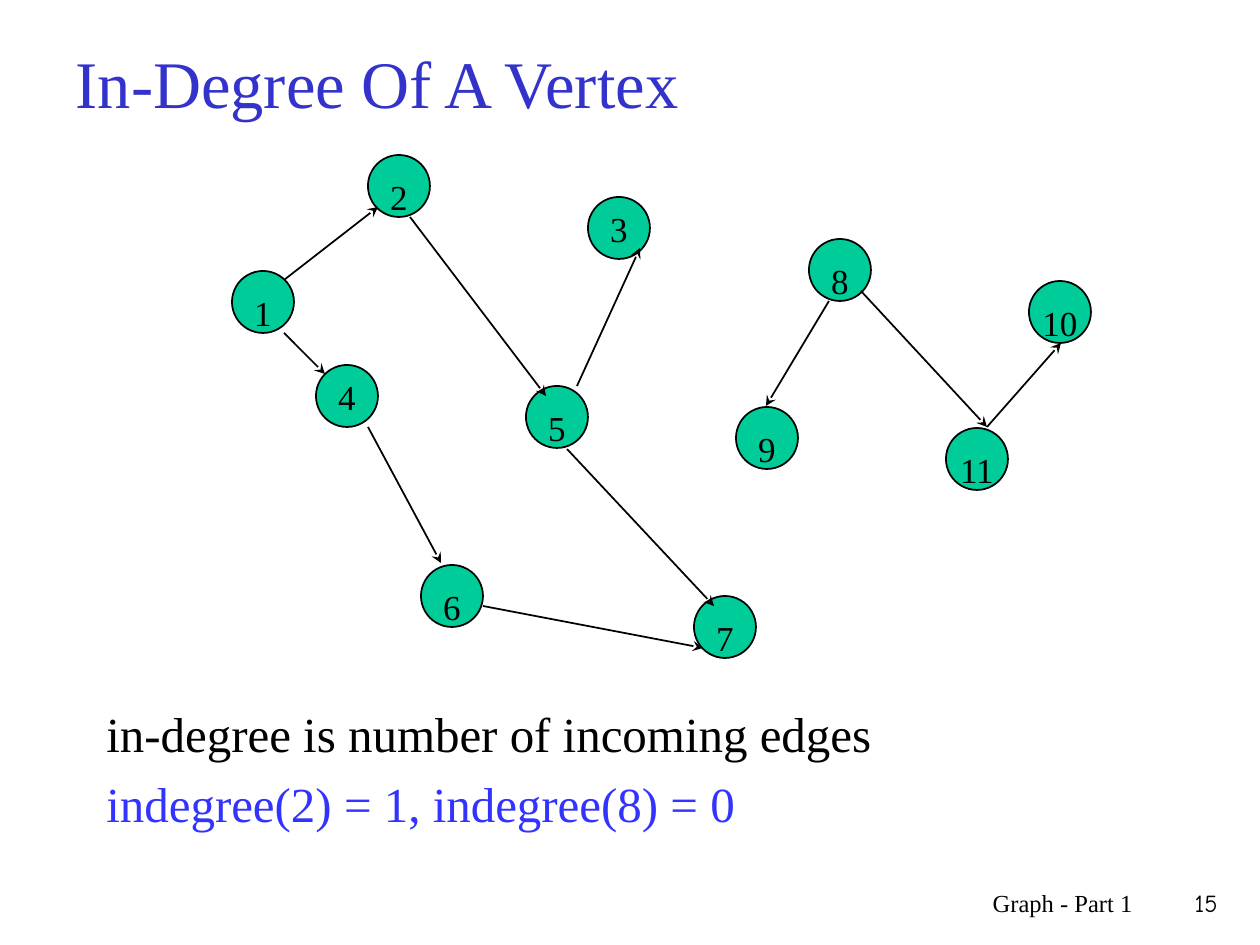
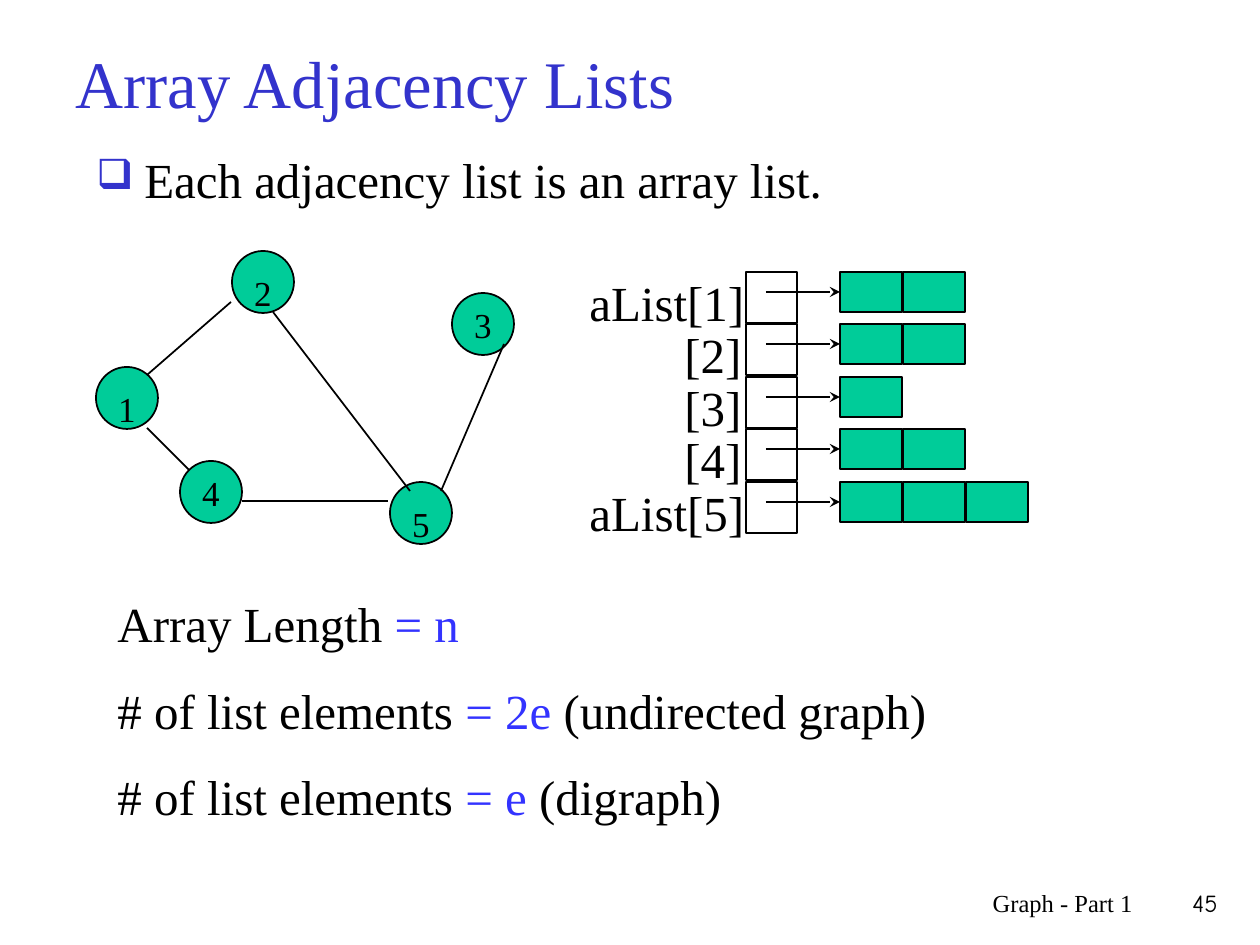
"""Build two slides on graphs: vertex in-degree and array adjacency lists."""
from lxml.etree import SubElement
from pptx import Presentation
from pptx.dml.color import RGBColor
from pptx.enum.shapes import MSO_CONNECTOR, MSO_SHAPE
from pptx.enum.text import MSO_ANCHOR, MSO_AUTO_SIZE, PP_ALIGN
from pptx.oxml.ns import qn
from pptx.util import Emu, Pt

COLORS = {"title": "3333CC", "accent": "3333FF", "ink": "000000",
          "green": "00CC99", "white": "FFFFFF"}
SERIF = "Times New Roman"
NUMBER_FONT = "Comic Neue"
NODE_SIZE = 62
HIGH_LABELS = (3, 4)

NODES = {1: (232, 271), 2: (368, 155), 3: (588, 197), 4: (316, 365),
         5: (526, 386), 6: (421, 565), 7: (694, 596), 8: (809, 239),
         9: (736, 407), 10: (1029, 281), 11: (946, 428)}
DIRECTED_EDGES = [
    (284, 280, 378, 207), (410, 217, 546, 396), (284, 333, 325, 374),
    (368, 427, 441, 563), (483, 606, 703, 648), (577, 386, 640, 248),
    (567, 449, 714, 606), (829, 301, 766, 406), (861, 291, 987, 427),
    (987, 427, 1061, 343)]
UNDIRECTED_EDGES = [
    (231, 302, 147, 375), (273, 312, 410, 491), (147, 428, 189, 470),
    (504, 344, 441, 491), (242, 501, 388, 501)]
LIST_LENGTHS = {"aList[1]": 2, "[2]": 2, "[3]": 1, "[4]": 2, "aList[5]": 3}


def px(value):
    """Convert pixels to EMU."""
    return Emu(round(value * 914400 / 126))


def color(name):
    """Look up a named colour."""
    return RGBColor.from_string(COLORS[name])


def style_font(font, size, ink="ink", name=SERIF):
    """Set the size, colour and typeface of a font."""
    font.size = Pt(size)
    font.name = name
    font.color.rgb = color(ink)


def add_title_slide(deck, title, number):
    """Add a slide with its title, footer and slide number."""
    page = deck.slides.add_slide(deck.slide_layouts[5])
    holder = page.shapes.title
    holder.left, holder.top, holder.width, holder.height = map(px, (63, 38, 1134, 87))
    frame = holder.text_frame
    frame.text = title
    frame.auto_size = MSO_AUTO_SIZE.NONE
    frame.vertical_anchor = MSO_ANCHOR.MIDDLE
    para = frame.paragraphs[0]
    para.alignment = PP_ALIGN.LEFT
    style_font(para.font, 38, "title")
    add_text(page, (746, 882, 399, 63), [[("Graph - Part 1", "ink")]],
             size=14, align=PP_ALIGN.RIGHT)
    add_text(page, (1144, 882, 86, 63), [[(number, "ink")]],
             size=14, align=PP_ALIGN.RIGHT, name=NUMBER_FONT)
    return page


def add_text(page, area, lines, size=28, gap=0, align=PP_ALIGN.LEFT, name=SERIF, wrap=True):
    """Add a text box whose lines are lists of (text, colour) spans."""
    box = page.shapes.add_textbox(*map(px, area))
    frame = box.text_frame
    frame.word_wrap = wrap
    for index, spans in enumerate(lines):
        para = frame.add_paragraph() if index else frame.paragraphs[0]
        para.alignment = align
        if index:
            para.space_before = Pt(gap)
        style_font(para.font, size, spans[0][1], name)
        for text, ink in spans:
            span = para.add_run()
            span.text = text
            if ink != spans[0][1]:
                span.font.color.rgb = color(ink)
    return box


def add_bullet(para):
    """Give a paragraph a hanging coloured square bullet."""
    properties = para._p.get_or_add_pPr()
    properties.set("marL", str(px(48)))
    properties.set("indent", str(-px(48)))
    default_run = properties.find(qn("a:defRPr"))
    bullet_color = SubElement(properties, qn("a:buClr"))
    SubElement(bullet_color, qn("a:srgbClr"), val=COLORS["title"])
    SubElement(properties, qn("a:buSzPct"), val="85000")
    SubElement(properties, qn("a:buChar"), char="❑")
    if default_run is not None:
        properties.append(default_run)


def add_outlined(page, kind, area, fill):
    """Add a filled preset shape with a thin black outline."""
    shape = page.shapes.add_shape(kind, *map(px, area))
    shape.shadow.inherit = False
    shape.fill.solid()
    shape.fill.fore_color.rgb = color(fill)
    shape.line.color.rgb = color("ink")
    shape.line.width = Pt(1)
    return shape


def add_node(page, number, left, top):
    """Add a numbered graph vertex."""
    node = add_outlined(page, MSO_SHAPE.OVAL, (left, top, NODE_SIZE, NODE_SIZE), "green")
    frame = node.text_frame
    frame.word_wrap = False
    frame.vertical_anchor = MSO_ANCHOR.TOP
    frame.margin_left = frame.margin_right = frame.margin_bottom = 0
    frame.margin_top = px(1 if number in HIGH_LABELS else 11)
    para = frame.paragraphs[0]
    para.text = str(number)
    para.alignment = PP_ALIGN.CENTER
    style_font(para.font, 20)


def add_edge(page, ends, arrow=False):
    """Add a thin straight line, with an arrowhead at its end if asked."""
    edge = page.shapes.add_connector(MSO_CONNECTOR.STRAIGHT, *map(px, ends))
    edge.line.color.rgb = color("ink")
    edge.line.width = Pt(1)
    if arrow:
        SubElement(edge.line._get_or_add_ln(), qn("a:tailEnd"), type="stealth")
    SubElement(edge._element.spPr, qn("a:effectLst"))
    return edge


def add_graph(page, numbers, edges, shift=(0, 0), arrow=False):
    """Add the chosen vertices, moved by a shift, and the edges."""
    for number in numbers:
        left, top = NODES[number]
        add_node(page, number, left + shift[0], top + shift[1])
    for ends in edges:
        add_edge(page, ends, arrow)


def add_list_row(page, row, label, length):
    """Add one array slot with its label, arrow and list cells."""
    top = 272 + row * 105 // 2
    add_outlined(page, MSO_SHAPE.RECTANGLE, (746, top, 51, 51), "white")
    left, width = (577, 189) if label.startswith("aList") else (672, 84)
    add_text(page, (left, top - 6, width, 72), [[(label, "ink")]], wrap=False)
    cells = [add_outlined(page, MSO_SHAPE.RECTANGLE, (840 + 63 * column, top, 62, 40), "green")
             for column in range(length)]
    pointer = add_edge(page, (766, top + 20, 840, top + 20), arrow=True)
    pointer.end_connect(cells[0], 1)


def build_in_degree(deck):
    """Build the slide on in-degree."""
    page = add_title_slide(deck, "In-Degree Of A Vertex", "15")
    add_graph(page, NODES, DIRECTED_EDGES, arrow=True)
    add_text(page, (94, 697, 1071, 140),
             [[("in-degree is number of incoming edges", "ink")],
              [("indegree(2) = 1, indegree(8) = 0", "accent")]], gap=6.5)


def build_adjacency_lists(deck):
    """Build the slide on array adjacency lists."""
    page = add_title_slide(deck, "Array Adjacency Lists", "45")
    intro = add_text(page, (84, 150, 1071, 73),
                     [[("Each adjacency list is an array list.", "ink")]])
    para = intro.text_frame.paragraphs[0]
    add_bullet(para)
    para.line_spacing = 0.9
    add_graph(page, range(1, 6), UNDIRECTED_EDGES, shift=(-136, 96))
    for row, (label, length) in enumerate(LIST_LENGTHS.items()):
        add_list_row(page, row, label, length)
    add_text(page, (105, 587, 862, 248),
             [[("Array Length ", "ink"), ("= n", "accent")],
              [("# of list elements ", "ink"), ("= 2e", "accent"),
               (" (undirected graph)", "ink")],
              [("# of list elements ", "ink"), ("= e", "accent"),
               (" (digraph)", "ink")]], gap=16)


def main():
    """Build and save the deck."""
    deck = Presentation()
    deck.slide_width, deck.slide_height = px(1260), px(945)
    build_in_degree(deck)
    build_adjacency_lists(deck)
    deck.save("out.pptx")


if __name__ == "__main__":
    main()
